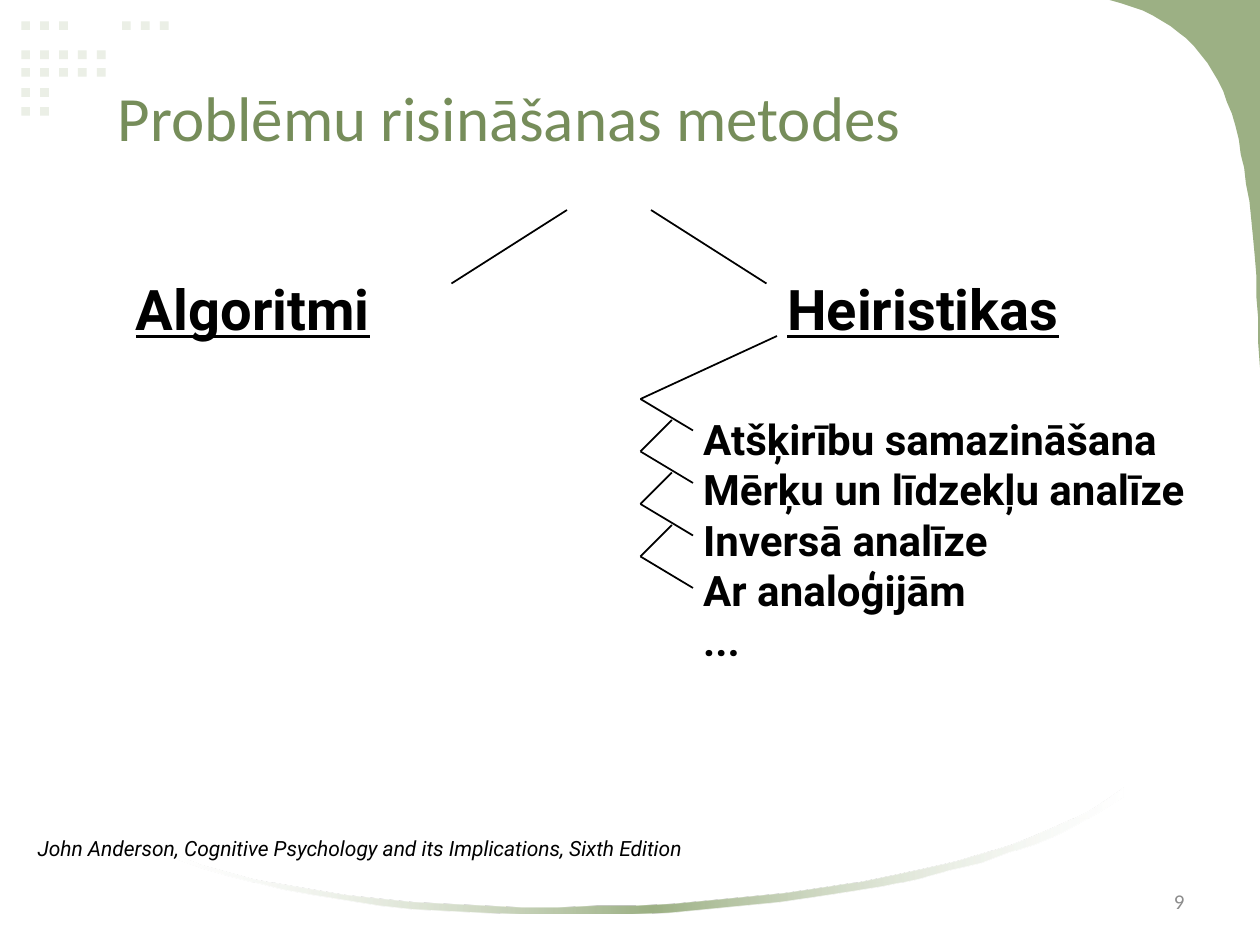
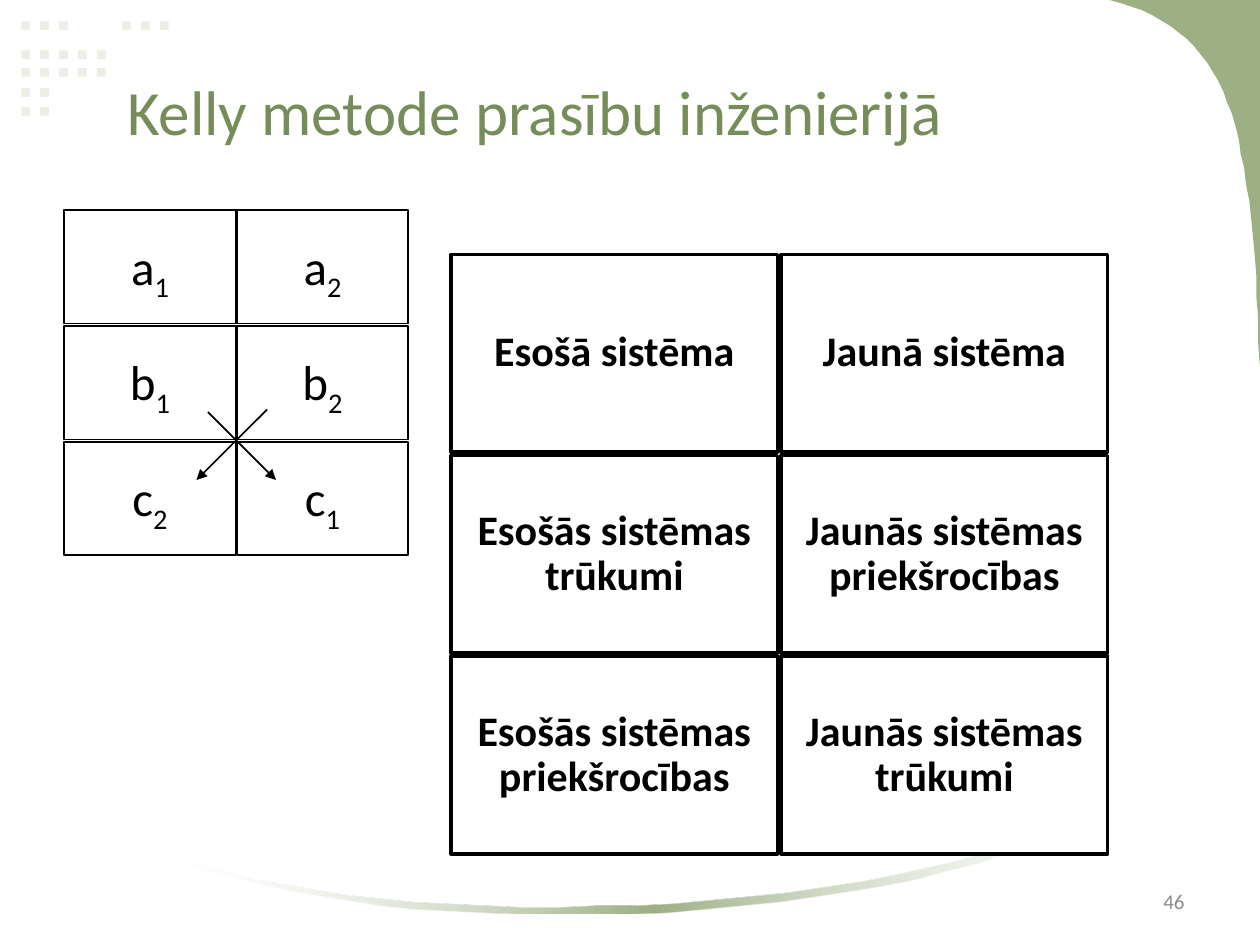
"""Build two slides on problem solving methods and the Kelly grid."""
from dataclasses import dataclass

from lxml.etree import SubElement
from pptx import Presentation
from pptx.dml.color import RGBColor
from pptx.enum.shapes import MSO_CONNECTOR, MSO_SHAPE
from pptx.enum.text import MSO_ANCHOR, MSO_AUTO_SIZE, PP_ALIGN
from pptx.oxml import parse_xml
from pptx.oxml.ns import nsdecls, qn
from pptx.util import Pt


@dataclass(frozen=True)
class Theme:
    dot: str = "EBEFE6"
    leaf: str = "9CB084"
    title: str = "768D5A"
    ink: str = "000000"
    paper: str = "FFFFFF"
    faint: str = "8C8C8C"
    sans: str = "Calibri"
    bold: str = "Roboto"
    head: int = 36
    large: int = 32
    sign: int = 28
    body: int = 24
    small: int = 12


THEME = Theme()

METHODS = {
    "title": "Problēmu risināšanas metodes",
    "box": (60, 21.6, 624, 90),
    "page": "9",
    "heads": [("Algoritmi", (70.6, 153.4, 156, 46)),
              ("Heiristikas", (442.8, 153.4, 178, 46))],
    "list": ["Atšķirību samazināšana", "Mērķu un līdzekļu analīze",
             "Inversā analīze", "Ar analoģijām", "..."],
    "place": (394.6, 232.6, 305.3, 152.6),
    "source": "John Anderson, Cognitive Psychology and its Implications, Sixth Edition",
    "foot": (14.4, 473.8, 397.4, 21.6),
    "lines": [(324, 120, 258, 162), (372, 120, 438, 162), (444, 192, 366, 228)],
}
KELLY = {
    "title": "Kelly metode prasību inženierijā",
    "box": (65.5, 18, 576.7, 90),
    "page": "46",
    "systems": [("Esošā sistēma",), ("Jaunā sistēma",),
                ("Esošās sistēmas trūkumi",), ("Jaunās sistēmas priekšrocības",),
                ("Esošās sistēmas priekšrocības",), ("Jaunās sistēmas trūkumi",)],
    "signs": [("a", "1"), ("a", "2"), ("b", "1"), ("b", "2"), ("c", "2"), ("c", "1")],
    "swaps": [(152.6, 234, 112.3, 274.3), (118.8, 235.4, 157.7, 274.3)],
}

DOTS = {12.2: (0, 1, 2, 5.33, 6.33, 7.33), 28.8: range(5), 38.9: range(5),
        50.4: range(2), 61.2: range(2)}
CORNER = [(720, 209.5), (715, 67.7), (703.4, 18), (634.3, 0)]
LOWER = [(642.2, 455), (541.4, 530.6), (229.7, 542.2), (102.2, 491)]
UPPER = [(102.2, 488.9), (226.1, 538.6), (550.8, 523.4), (642.2, 450)]


def color(code):
    return RGBColor.from_string(code)


def pts(box):
    return [Pt(n) for n in box]


def curve(ends, steps=30):
    """Sample a cubic curve given by its four control points."""
    def spot(t):
        parts = ((1 - t) ** 3, 3 * t * (1 - t) ** 2, 3 * t * t * (1 - t), t ** 3)
        return tuple(round(sum(k * p[i] for k, p in zip(parts, ends)), 2)
                     for i in (0, 1))
    return [spot(n / steps) for n in range(steps + 1)]


def paint(shape, fill, line=None, width=1):
    shape.shadow.inherit = False
    shape.fill.solid()
    shape.fill.fore_color.rgb = color(fill)
    if line:
        shape.line.color.rgb = color(line)
        shape.line.width = Pt(width)
    else:
        shape.line.fill.background()


def outline(shapes, points):
    form = shapes.build_freeform(*points[0], scale=Pt(1))
    form.add_line_segments(points[1:], close=True)
    shape = form.convert_to_shape()
    paint(shape, THEME.leaf)
    return shape


def fade(shape):
    """Let the fill fade out toward both ends."""
    clear = f'<a:srgbClr val="{THEME.paper}"><a:alpha val="30000"/></a:srgbClr>'
    full = f'<a:srgbClr val="{THEME.leaf}"/>'
    stops = "".join(f'<a:gs pos="{n * 50000}">{c}</a:gs>'
                    for n, c in enumerate((clear, full, clear)))
    grad = parse_xml(f'<a:gradFill {nsdecls("a")}><a:gsLst>{stops}</a:gsLst>'
                     '<a:lin ang="0" scaled="0"/></a:gradFill>')
    props = shape.element.spPr
    props.replace(props.find(qn("a:solidFill")), grad)


def dress(deck, slide):
    """Draw the shared decor and move it to the slide master."""
    group = slide.shapes.add_group_shape()
    outline(group.shapes, [(720, 0)] + curve(CORNER))
    fade(outline(group.shapes, curve(LOWER) + curve(UPPER)))
    for top, spots in DOTS.items():
        for spot in spots:
            box = pts((12.2 + 10.8 * spot, top, 5, 5))
            paint(group.shapes.add_shape(MSO_SHAPE.RECTANGLE, *box), THEME.dot)
    deck.slide_master.shapes.element.insert(2, group.element)


def style(para, face, size, ink=THEME.ink, bold=False, align=PP_ALIGN.LEFT):
    para.alignment = align
    font = para.font
    font.name, font.size, font.bold = face, Pt(size), bold
    font.color.rgb = color(ink)
    return font


def place(shape, box):
    shape.left, shape.top, shape.width, shape.height = pts(box)
    shape.text_frame.auto_size = MSO_AUTO_SIZE.NONE


def label(slide, text, box, *look, **more):
    frame = slide.shapes.add_textbox(*pts(box)).text_frame
    frame.word_wrap = False
    frame.text = text
    return frame, style(frame.paragraphs[0], *look, **more)


def start(deck, data, layout):
    slide = deck.slides.add_slide(deck.slide_layouts[layout])
    title = slide.shapes.title
    place(title, data["box"])
    title.text_frame.text = data["title"]
    title.text_frame.vertical_anchor = MSO_ANCHOR.MIDDLE
    style(title.text_frame.paragraphs[0], THEME.sans, THEME.head, THEME.title)
    frame, _ = label(slide, data["page"], (516, 500.4, 168, 28.8), THEME.sans,
                     THEME.small, THEME.faint, align=PP_ALIGN.RIGHT)
    frame.word_wrap = True
    frame.vertical_anchor = MSO_ANCHOR.MIDDLE
    return slide


def draw(shapes, ends, arrow=False):
    link = shapes.add_connector(MSO_CONNECTOR.STRAIGHT, *pts(ends))
    link.line.color.rgb = color(THEME.ink)
    link.line.width = Pt(1)
    if arrow:
        SubElement(link.line._get_or_add_ln(), qn("a:tailEnd"), type="triangle")
    SubElement(link.element.spPr, qn("a:effectLst"))


def items(shape, lines):
    """Fill the body with plain lines that carry no bullets."""
    frame = shape.text_frame
    frame.word_wrap = False
    frame.text = "\n".join(lines)
    for para in frame.paragraphs:
        para.space_before = Pt(0)
        style(para, THEME.bold, THEME.body, bold=True)
        props = para._p.get_or_add_pPr()
        props.set("marL", "0")
        props.set("indent", "0")
        props.insert_element_before(parse_xml(f'<a:buNone {nsdecls("a")}/>'),
                                    "a:tabLst", "a:defRPr", "a:extLst")


def grid(shapes, cells, box, pitch, size, width, bold=False):
    """Lay cells out in two columns, with any second part as a subscript."""
    left, top, wide, high = box
    for n, parts in enumerate(cells):
        row, col = divmod(n, 2)
        spot = (left + col * pitch[0], top + row * pitch[1], wide, high)
        cell = shapes.add_shape(MSO_SHAPE.RECTANGLE, *pts(spot))
        paint(cell, THEME.paper, THEME.ink, width)
        cell.text_frame.word_wrap = True
        cell.text_frame.vertical_anchor = MSO_ANCHOR.MIDDLE
        para = cell.text_frame.paragraphs[0]
        para.line_spacing = 0.9
        style(para, THEME.sans, size, bold=bold, align=PP_ALIGN.CENTER)
        for k, part in enumerate(parts):
            run = para.add_run()
            run.text = part
            run.font.color.rgb = color(THEME.ink)
            if k:
                run._r.get_or_add_rPr().set("baseline", "-25000")


def methods(deck):
    slide = start(deck, METHODS, 1)
    dress(deck, slide)
    for text, box in METHODS["heads"]:
        _, font = label(slide, text, box, THEME.bold, THEME.large, bold=True)
        font.underline = True
    body = slide.placeholders[1]
    place(body, METHODS["place"])
    items(body, METHODS["list"])
    for ends in METHODS["lines"]:
        draw(slide.shapes, ends)
    for n in range(4):
        y = 228 + 30 * n
        draw(slide.shapes, (366, y, 396, y + 18))
        if n:
            draw(slide.shapes, (366, y, 384, y - 18))
    _, font = label(slide, METHODS["source"], METHODS["foot"], THEME.bold, THEME.small)
    font.italic = True


def kelly(deck):
    slide = start(deck, KELLY, 5)
    grid(slide.shapes, KELLY["systems"], (257.8, 145.4, 186.5, 113),
         (188.6, 114.8), THEME.body, 2, bold=True)
    grid(slide.shapes, KELLY["signs"], (36.7, 120.2, 98, 64.8),
         (98.6, 66.2), THEME.sign, 1)
    for ends in KELLY["swaps"]:
        draw(slide.shapes, ends, arrow=True)


def main():
    deck = Presentation()
    deck.slide_width, deck.slide_height = Pt(720), Pt(540)
    methods(deck)
    kelly(deck)
    deck.save("out.pptx")


if __name__ == "__main__":
    main()
